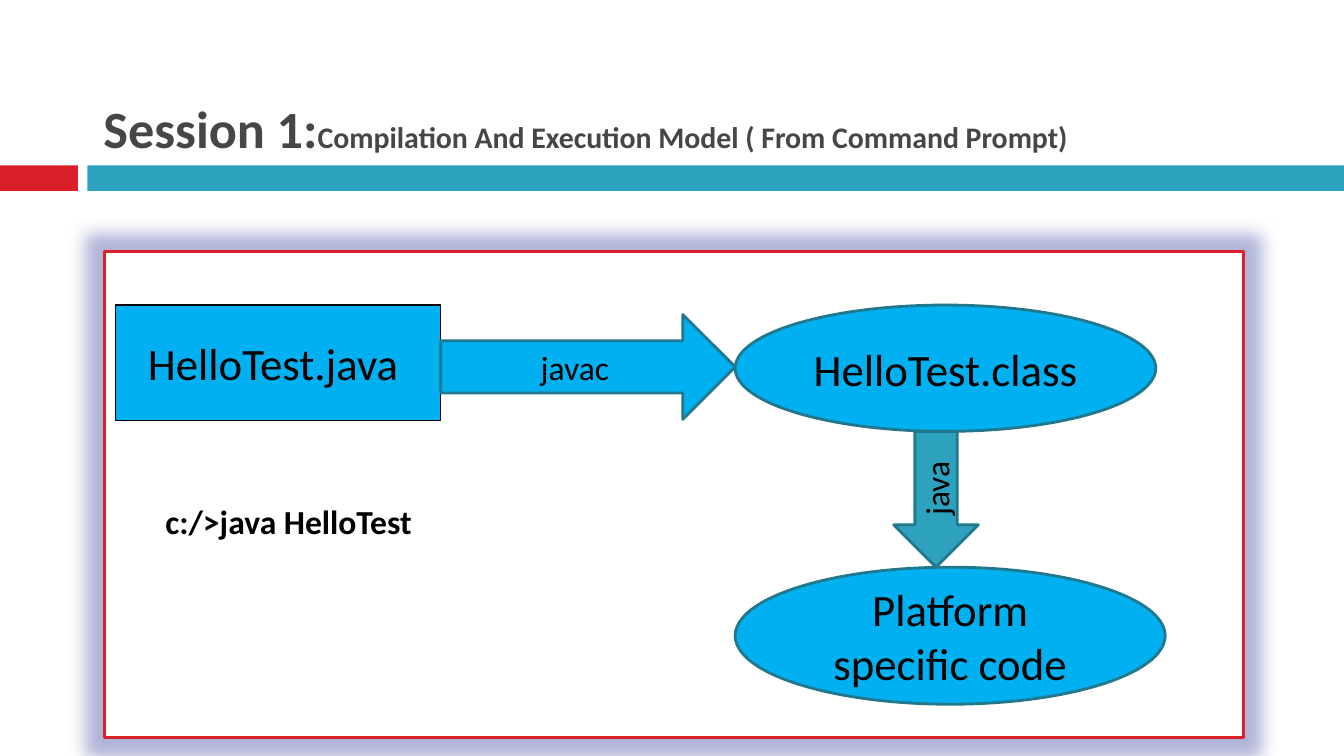
from lxml import etree
from pptx import Presentation
from pptx.dml.color import RGBColor
from pptx.enum.shapes import MSO_SHAPE
from pptx.enum.text import MSO_ANCHOR, MSO_AUTO_SIZE, PP_ALIGN
from pptx.oxml.ns import qn
from pptx.util import Inches, Pt

RECT, OVAL = MSO_SHAPE.RECTANGLE, MSO_SHAPE.OVAL
RIGHT, DOWN = MSO_SHAPE.RIGHT_ARROW, MSO_SHAPE.DOWN_ARROW
MID, LOW = MSO_ANCHOR.MIDDLE, MSO_ANCHOR.BOTTOM
LEFT, CENTER = PP_ALIGN.LEFT, PP_ALIGN.CENTER

WIDE = 10
HIGH = WIDE * 9 / 16
RED, TEAL, SKY, EDGE = "DA1F28", "2DA2BF", "00B0F0", "21788D"
BLACK, GREY, WHITE, GLOW = "000000", "464646", "FFFFFF", "39439D"

TITLE = [("Session 1:", 28),
         ("Compilation And Execution Model ( From Command Prompt)", 16)]
COMMAND = [("c:/>java HelloTest", 18)]

# The flow runs right from the source file, then down to the machine code
FILE = (0.86, 2.27, 2.42, 0.86)
CLASS = (5.47, 2.27, 3.13, 0.94)
CODE = (5.47, 4.22, 3.2, 1.02)
FILE_END = FILE[0] + FILE[2]
CLASS_END = CLASS[1] + CLASS[3]
JAVAC = (FILE_END, 2.34, CLASS[0] - FILE_END, 0.78)
JAVA = (6.65, CLASS_END, 0.63, CODE[1] - CLASS_END)

BARS = [(RED, 0, 0.58), (TEAL, 0.65, WIDE - 0.65)]
STEPS = [  # kind, box, label, size, fill, line colour, line width, body settings
    (RECT, FILE, "HelloTest.java ", 24, SKY, BLACK, 0.75, {"wrap": "none"}),
    (OVAL, CLASS, "HelloTest.class", 24, SKY, EDGE, 1.5, {}),
    (OVAL, CODE, "Platform specific code", 24, SKY, EDGE, 1.5, {}),
    (RIGHT, JAVAC, "javac", 18, SKY, EDGE, 1.5, {}),
    (DOWN, JAVA, "java", 18, TEAL, EDGE, 1.5, {"vert": "vert270"}),
]


def paint(item, color):
    """Give a fill or a line format one solid colour."""
    fill = getattr(item, "fill", item)
    fill.solid()
    fill.fore_color.rgb = RGBColor.from_string(color)


def place(shape, box):
    for name, size in zip(("left", "top", "width", "height"), box):
        setattr(shape, name, Inches(size))


def write(shape, runs, color, bold, align, anchor):
    frame = shape.text_frame
    frame.auto_size = MSO_AUTO_SIZE.NONE
    frame.word_wrap = True
    frame.vertical_anchor = anchor
    para = frame.paragraphs[0]
    para.alignment = align
    para.space_before = Pt(0)
    for text, size in runs:
        run = para.add_run()
        run.text = text
        look = {"name": "Calibri", "size": Pt(size), "bold": bold}
        for key, value in look.items():
            setattr(run.font, key, value)
        run.font.color.rgb = RGBColor.from_string(color)
    return frame


def draw(slide, kind, box, fill):
    shape = slide.shapes.add_shape(kind, *map(Inches, box))
    shape.shadow.inherit = False
    paint(shape.fill, fill)
    return shape


def glow(shape, color, radius, alpha):
    shape.shadow.inherit = False
    halo = etree.SubElement(shape.element.spPr.find(qn("a:effectLst")),
                            qn("a:glow"), rad=str(Pt(radius)))
    tint = etree.SubElement(halo, qn("a:srgbClr"), val=color)
    etree.SubElement(tint, qn("a:alpha"), val=str(alpha * 1000))


def frame_body(body):
    place(body, (0.78, 1.87, 8.47, 3.62))
    paint(body.fill, WHITE)
    paint(body.line, RED)
    body.line.width = Pt(1.5)
    glow(body, GLOW, 18, 40)
    frame = write(body, COMMAND, BLACK, True, LEFT, MID)
    frame.margin_left = Inches(0.45)
    frame.margin_top = Inches(0.44)
    props = frame.paragraphs[0]._p.get_or_add_pPr()
    props.set("marL", "0")
    props.set("indent", "0")
    etree.SubElement(props, qn("a:buNone"))


def main():
    deck = Presentation()
    deck.slide_width, deck.slide_height = Inches(WIDE), Inches(HIGH)
    slide = deck.slides.add_slide(deck.slide_layouts[1])
    title, body = slide.placeholders

    for color, left, width in BARS:
        bar = draw(slide, RECT, (left, 1.23, width, 0.19), color)
        bar.line.fill.background()

    place(title, (0.67, 0.13, WIDE - 0.67, 1.1))
    write(title, TITLE, GREY, True, LEFT, LOW)
    frame_body(body)

    for kind, box, label, size, fill, edge, width, extra in STEPS:
        step = draw(slide, kind, box, fill)
        paint(step.line, edge)
        step.line.width = Pt(width)
        frame = write(step, [(label, size)], BLACK, False, CENTER, MID)
        for key, value in extra.items():
            frame._txBody.bodyPr.set(key, value)

    deck.save("out.pptx")


if __name__ == "__main__":
    main()
